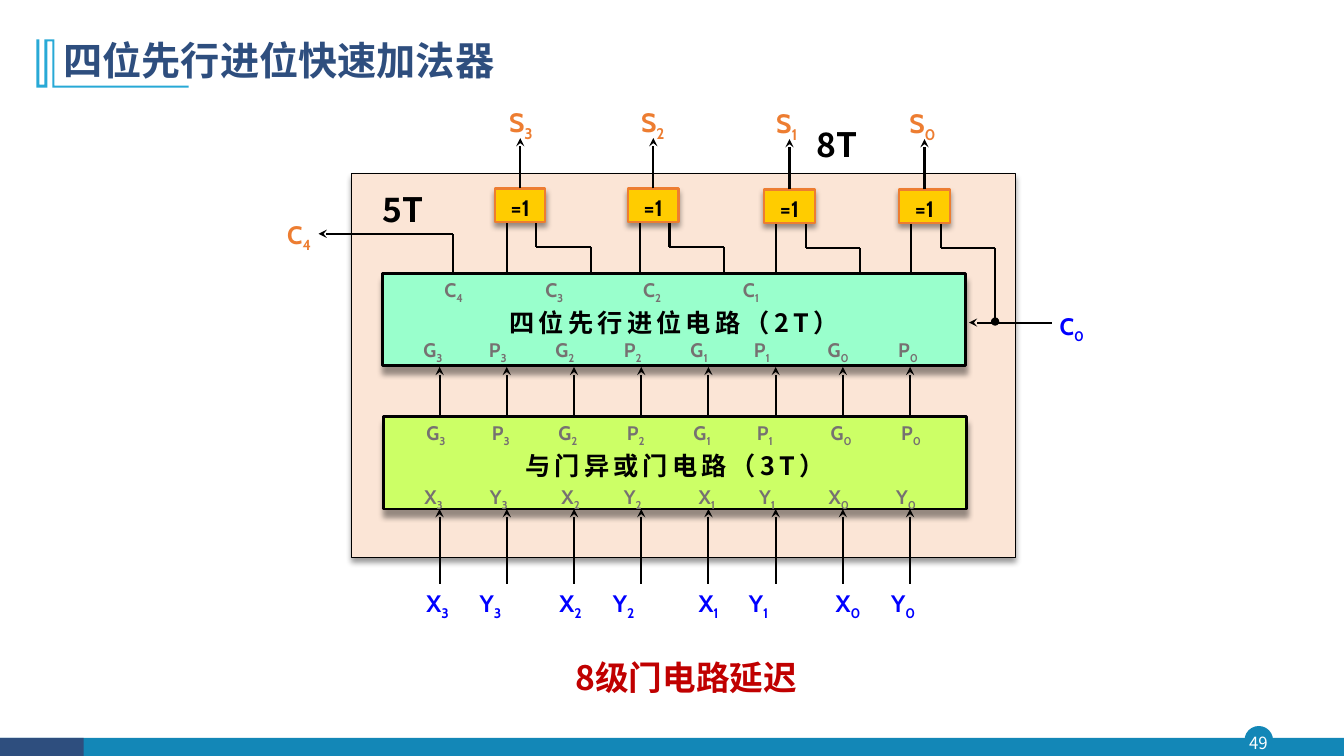
import pptx
import pptx.util
import pptx.dml.color
import pptx.enum.shapes
import pptx.enum.text
import pptx.oxml
import pptx.oxml.ns
from dataclasses import dataclass

Inches = pptx.util.Inches
Pt = pptx.util.Pt
KINDS = pptx.enum.shapes.MSO_SHAPE
ALIGN = pptx.enum.text.PP_ALIGN
ANCHOR = pptx.enum.text.MSO_ANCHOR


@dataclass(frozen=True)
class Theme:
    han: str = "Noto Sans CJK SC"
    latin: str = "Cabin"
    navy: str = "2E4E7E"
    teal: str = "1387B7"
    sky: str = "28A9D6"
    white: str = "FFFFFF"
    black: str = "000000"
    blue: str = "0000FF"
    orange: str = "ED7D31"
    gray: str = "767171"
    red: str = "C00000"
    peach: str = "FBE5D6"
    mint: str = "99FFCC"
    lime: str = "CCFF66"
    gold: str = "FFCC00"
    title: int = 28
    note: int = 24
    sums: int = 19
    slab: int = 18
    port: int = 17
    gate: int = 16
    pin: int = 14
    page: int = 12


T = Theme()


def color(code):
    return pptx.dml.color.RGBColor.from_string(code)


def node(parent, tag, **attrs):
    item = pptx.oxml.ns.qn(tag)
    child = parent.makeelement(item, attrs)
    parent.append(child)
    return child


def write(shape, text, size=T.pin, ink=T.black, font=T.latin, bold=True, align=ALIGN.LEFT,
          anchor=ANCHOR.TOP, lead=1.2, track=0, tabs=(), wrap=True, inset=None):
    """Fill a shape with text; the sign after each underscore is a subscript."""
    frame = shape.text_frame
    frame.word_wrap = wrap
    frame.vertical_anchor = anchor
    if inset is not None:
        frame.margin_left = frame.margin_right = Inches(inset)
        frame.margin_top = frame.margin_bottom = Inches(inset)
    para = frame.paragraphs[0]
    para.alignment = align
    para.line_spacing = lead
    para.space_before = Pt(0)
    if tabs:
        stops = node(para._p.get_or_add_pPr(), "a:tabLst")
        for stop in tabs:
            node(stops, "a:tab", pos=str(Inches(stop)), algn="l")
    head, *rest = text.split("_")
    parts = [(head, False)]
    for part in rest:
        parts += [(part[0], True), (part[1:], False)]
    for words, low in parts:
        if not words:
            continue
        run = para.add_run()
        run.text = words
        run.font.size = Pt(size)
        run.font.bold = bold
        run.font.color.rgb = color(ink)
        run.font.name = font
        props = run._r.get_or_add_rPr()
        node(props, "a:ea", typeface=font)
        if low:
            props.set("baseline", "-25000")
        if track:
            props.set("spc", str(track * 100))


def label(slide, text, x, y, w, h, **form):
    box = slide.shapes.add_textbox(Inches(x), Inches(y), Inches(w), Inches(h))
    write(box, text, **form)


def block(slide, x, y, w, h, fill, edge=None, width=1, drop=0, kind=KINDS.RECTANGLE):
    """Add a filled shape; drop is the distance of its shadow in points."""
    shape = slide.shapes.add_shape(kind, Inches(x), Inches(y), Inches(w), Inches(h))
    shape.fill.solid()
    shape.fill.fore_color.rgb = color(fill)
    if edge:
        shape.line.color.rgb = color(edge)
        shape.line.width = Pt(width)
    else:
        shape.line.fill.background()
    shape.shadow.inherit = False
    if drop:
        effects = shape._element.spPr.find(pptx.oxml.ns.qn("a:effectLst"))
        shade = node(effects, "a:outerShdw", blurRad=str(Pt(4)), dist=str(Pt(drop)),
                     dir="5400000", algn="t", rotWithShape="0")
        node(node(shade, "a:srgbClr", val=T.black), "a:alpha", val="40000")
    return shape


def wire(slide, *points, tip=None):
    """Join points with straight lines; tip is the arrowhead on the last one."""
    last = len(points) - 2
    for i, (start, end) in enumerate(zip(points, points[1:])):
        ends = [Inches(v) for v in start + end]
        line = slide.shapes.add_connector(pptx.enum.shapes.MSO_CONNECTOR.STRAIGHT, *ends)
        line.line.color.rgb = color(T.black)
        line.line.width = Pt(1.5)
        if tip and i == last:
            node(line.line._get_or_add_ln(), "a:tailEnd", type=tip)
        node(line._element.spPr, "a:effectLst")


def banner(slide, x, y):
    """Place the title and the bracket ornament at its left."""
    dots = [(0.18, 0), (0.18, 0.46), (1.51, 0.46), (1.51, 0.48), (0.16, 0.48), (0.16, 0.02),
            (0.11, 0.02), (0.11, 0.48), (0, 0.48), (0, 0), (0.03, 0), (0.03, 0.45),
            (0.08, 0.45), (0.08, 0)]
    path = [(Inches(x + dx), Inches(y + dy)) for dx, dy in dots]
    form = slide.shapes.build_freeform(*path[0])
    form.add_line_segments(path[1:], close=True)
    mark = form.convert_to_shape()
    mark.fill.solid()
    mark.fill.fore_color.rgb = color(T.sky)
    mark.line.fill.background()
    mark.shadow.inherit = False
    title = slide.shapes.title
    title.left, title.top = Inches(x + 0.17), Inches(y - 0.11)
    title.width, title.height = Inches(11.5), Inches(0.68)
    write(title, "四位先行进位快速加法器", size=T.title, ink=T.navy, font=T.han,
          anchor=ANCHOR.MIDDLE, lead=0.9)


def footer(slide, x, y, w, h):
    block(slide, x + 12.35, y - 0.11, 0.27, 0.27, T.teal, T.teal, kind=KINDS.OVAL)
    block(slide, x, y, w, h, T.teal)
    block(slide, x, y, 0.83, h, T.navy)
    label(slide, "49", x + 12.32, y - 0.11, 0.32, 0.31, size=T.page, ink=T.white, font=T.han,
          bold=False, align=ALIGN.CENTER, anchor=ANCHOR.MIDDLE, lead=1, inset=0)


def pairs(slide, x, y, names, spots, **form):
    """Write a row of four labelled pairs, bit 3 first; spots hold offset and tab."""
    left, right = names
    for bit, (dx, tab) in zip("3210", spots):
        label(slide, f"{left}_{bit}\t{right}_{bit}", x + dx, y, 1.26, 0.4, tabs=[tab], **form)


def arrows(slide, x, y, h):
    for i in range(8):
        at = x + i * 2 / 3
        wire(slide, (at, y + h), (at, y), tip="stealth")


def slab(slide, text, x, y, fill):
    shape = block(slide, x, y, 5.79, 0.92, fill, T.black, 2, drop=5)
    write(shape, text, size=T.slab, font=T.han, align=ALIGN.CENTER, anchor=ANCHOR.MIDDLE,
          track=3, wrap=False)


def gate(slide, bit, x, y, shift):
    """Draw one sum gate with its output and its two inputs."""
    wire(slide, (x + 0.12, y + 0.34), (x + 0.12, y + 0.84))
    bend = [(x + 0.41, y + 0.33), (x + 0.41, y + 0.58), (x + 0.95, y + 0.58)]
    first = bit == 0
    wire(slide, *bend, (x + 0.95, y + (1.31 if first else 0.83)), tip="oval" if first else None)
    shape = block(slide, x, y, 0.5, 0.33, T.gold, T.orange, 1.5, drop=3)
    write(shape, "=1", size=T.gate, align=ALIGN.CENTER, anchor=ANCHOR.MIDDLE, wrap=False)
    wire(slide, (x + 0.25, y), (x + 0.25, y - 0.5), tip="stealth")
    label(slide, f"S_{bit}", x + shift, y - 0.94, 0.58, 0.42, size=T.sums, ink=T.orange)


def adder(slide, x, y):
    """Draw the whole circuit; x and y are the corner of its frame."""
    block(slide, x, y, 6.58, 3.81, T.peach, T.black, 0.75, drop=3)
    wire(slide, (x + 1, y + 1.01), (x + 1, y + 0.6), (x - 0.33, y + 0.6), tip="stealth")
    arrows(slide, x + 0.87, y + 3.33, 0.74)
    arrows(slide, x + 0.87, y + 1.92, 0.5)
    slab(slide, "与门异或门电路（3T）", x + 0.31, y + 2.41, T.lime)
    slab(slide, "四位先行进位电路（2T）", x + 0.3, y + 0.99, T.mint)

    label(slide, "C_4\tC_3\tC_2\tC_1", x + 0.82, y + 0.94, 5.06, 0.54, ink=T.gray,
          tabs=[1, 1.97, 2.96])
    carry = [(0.64, 0.65), (1.95, 0.68), (3.29, 0.63), (4.65, 0.7)]
    pairs(slide, x - 0.03, y + 1.53, "GP", carry, ink=T.gray)
    pairs(slide, x, y + 2.35, "GP", carry, ink=T.gray)
    pins = [(0.62, 0.65), (1.98, 0.62), (3.34, 0.6), (4.63, 0.67)]
    pairs(slide, x, y + 2.99, "XY", pins, ink=T.gray)
    ports = [(0.64, 0.53), (1.96, 0.53), (3.34, 0.5), (4.7, 0.55)]
    pairs(slide, x, y + 4.01, "XY", ports, size=T.port, ink=T.blue)

    gates = [(1.42, 0.15, 0.04), (2.74, 0.15, 0.03), (4.09, 0.16, 0.02), (5.43, 0.16, 0)]
    for bit, (dx, dy, shift) in zip((3, 2, 1, 0), gates):
        gate(slide, bit, x + dx, y + dy, shift)

    wire(slide, (x + 6.94, y + 1.48), (x + 6.12, y + 1.48), tip="stealth")
    label(slide, "C_0", x + 6.92, y + 1.26, 0.55, 0.61, size=T.port, ink=T.blue)
    label(slide, "C_4", x - 0.74, y + 0.34, 0.5, 0.47, size=T.slab, ink=T.orange)
    for text, dx, dy, w, ink in [("5T", -0.1, 0.11, 1.22, T.black),
                                 ("8T", 4.2, -0.54, 1.22, T.black),
                                 ("8级门电路延迟", 1.54, 4.75, 3.55, T.red)]:
        label(slide, text, x + dx, y + dy, w, 0.54, size=T.note, ink=ink, font=T.han,
              align=ALIGN.CENTER, lead=1)


def main():
    deck = pptx.Presentation()
    deck.slide_width, deck.slide_height = Inches(13.33), Inches(7.5)
    slide = deck.slides.add_slide(deck.slide_layouts[5])
    footer(slide, 0, 7.32, 13.33, 0.18)
    banner(slide, 0.36, 0.39)
    adder(slide, 3.49, 1.72)
    deck.save("out.pptx")


if __name__ == "__main__":
    main()
